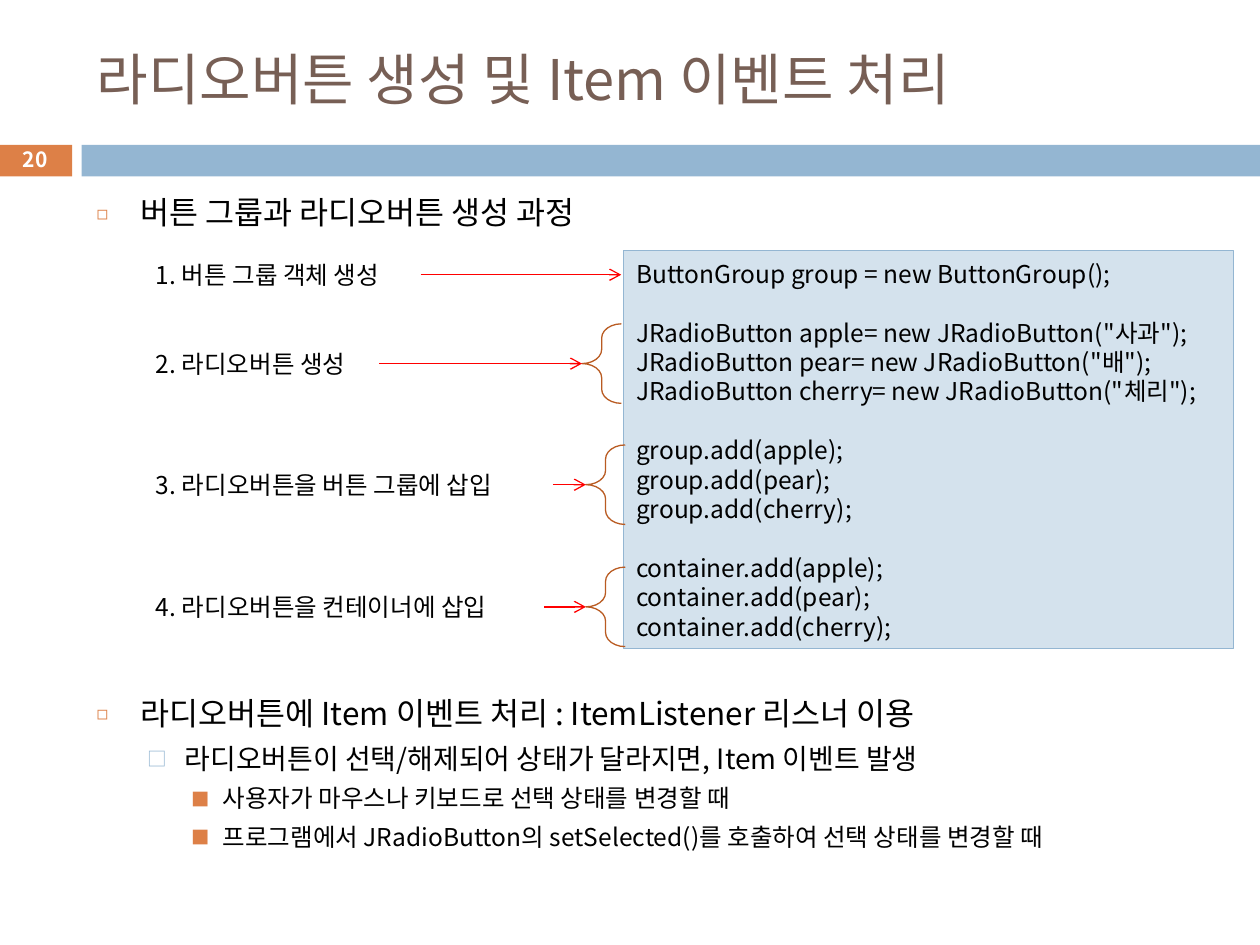
from pptx import Presentation
from pptx.dml.color import RGBColor
from pptx.enum.shapes import MSO_CONNECTOR as Conn, MSO_SHAPE as Kind
from pptx.enum.text import MSO_ANCHOR as Anchor, PP_ALIGN as Align
from pptx.oxml.ns import qn
from pptx.util import Pt
from lxml.etree import SubElement as Sub

THEME = {
    "font": "Noto Sans CJK KR",
    "title": "775F55", "text": "000000", "white": "FFFFFF",
    "orange": "DD8047", "blue": "94B6D2", "pale": "D4E2ED",
    "arrow": "FF0000", "brace": "B95B22",
    "head": 32, "code": 14, "num": 12,
    "thin": 0.75, "lead": 1.2,
}

TITLE = "라디오버튼 생성 및 Item 이벤트 처리"
PAGE = "20"

# level, space before, text
BODY = [
    (0, 0, "버튼 그룹과 라디오버튼 생성 과정"),
    (0, 264.4, "라디오버튼에 Item 이벤트 처리 : ItemListener 리스너 이용"),
    (1, 5.5, "라디오버튼이 선택/해제되어 상태가 달라지면, Item 이벤트 발생"),
    (2, 5, "사용자가 마우스나 키보드로 선택 상태를 변경할 때"),
    (2, 5, "프로그램에서 JRadioButton의 setSelected()를 호출하여 선택 상태를 변경할 때"),
]
# type size, left margin, hanging indent, bullet, bullet colour, bullet percent
LEVELS = [
    (18, 25.2, 25.2, "◻", "orange", 60),
    (16, 50.4, 21.6, "□", "blue", 70),
    (14, 72, 18, "■", "orange", 75),
]

# label, label width, middle height, arrow end, brace left (if any), code lines
STEPS = [
    ("1. 버튼 그룹 객체 생성", 158.4, 157, 355, None,
     ["ButtonGroup group = new ButtonGroup();"]),
    ("2. 라디오버튼 생성", 134.6, 207.8, 332.6, 332.6,
     ['JRadioButton apple= new JRadioButton("사과");',
      'JRadioButton pear= new JRadioButton("배");',
      'JRadioButton cherry= new JRadioButton("체리");']),
    ("3. 라디오버튼을 버튼 그룹에 삽입", 234, 277, 334.8, 334.8,
     ["group.add(apple);", "group.add(pear);", "group.add(cherry);"]),
    ("4. 라디오버튼을 컨테이너에 삽입", 229, 346.8, 334.8, 334.8,
     ["container.add(apple);", "container.add(pear);", "container.add(cherry);"]),
]
LABEL_X, LABEL_H = 82, 24.4
BRACE_W, BRACE_H = 22.5, 45.4

prs = Presentation()
prs.slide_width, prs.slide_height = Pt(720), Pt(540)
slide = prs.slides.add_slide(prs.slide_layouts[6])
shapes = slide.shapes


def tint(name):
    return RGBColor.from_string(THEME[name])


def style(par, size, color="text", bold=False):
    for run in par.runs:
        font = run.font
        font.size, font.bold, font.name = Pt(size), bold, THEME["font"]
        font.color.rgb = tint(color)
        Sub(font._element, qn("a:ea"), typeface=THEME["font"])


def add_box(x, y, w, h, kind=Kind.RECTANGLE, fill=None, line=None):
    box = shapes.add_shape(kind, Pt(x), Pt(y), Pt(w), Pt(h))
    box.shadow.inherit = False
    if fill:
        box.fill.solid()
        box.fill.fore_color.rgb = tint(fill)
    else:
        box.fill.background()
    if line:
        box.line.color.rgb = tint(line)
        box.line.width = Pt(THEME["thin"])
    else:
        box.line.fill.background()
    return box


def add_text(x, y, w, h, text, size, color="text", bold=False, align=Align.LEFT):
    """Add a one-line text box, centred vertically."""
    box = shapes.add_textbox(Pt(x), Pt(y), Pt(w), Pt(h))
    frame = box.text_frame
    frame.word_wrap, frame.vertical_anchor = True, Anchor.MIDDLE
    frame.text = text
    frame.paragraphs[0].alignment = align
    style(frame.paragraphs[0], size, color, bold)
    return box


def fill_lines(frame, rows):
    """Write (text, size, space before) rows with fixed leading; return paragraphs."""
    frame.word_wrap, frame.vertical_anchor = True, Anchor.TOP
    frame.margin_top = Pt(4.6)
    frame.text = "\n".join(text for text, _, _ in rows)
    for par, (_, size, gap) in zip(frame.paragraphs, rows):
        par.alignment = Align.LEFT
        par.line_spacing = Pt(size * THEME["lead"])
        par.space_before = Pt(gap)
        style(par, size)
    return frame.paragraphs


def add_bullet(par, level):
    _, left, hang, mark, color, pct = LEVELS[level]
    props = par._p.get_or_add_pPr()
    props.set("marL", str(Pt(left)))
    props.set("indent", str(-Pt(hang)))
    Sub(Sub(props, qn("a:buClr")), qn("a:srgbClr"), val=THEME[color])
    Sub(props, qn("a:buSzPct"), val=str(pct * 1000))
    Sub(props, qn("a:buFont"), typeface=THEME["font"])
    Sub(props, qn("a:buChar"), char=mark)


def add_arrow(label, end, y):
    line = shapes.add_connector(Conn.STRAIGHT, Pt(0), Pt(y), Pt(end), Pt(y))
    line.begin_connect(label, 3)
    line.line.color.rgb = tint("arrow")
    line.line.width = Pt(THEME["thin"])
    Sub(line.line._get_or_add_ln(), qn("a:tailEnd"), type="arrow")
    Sub(line._element.spPr, qn("a:effectLst"))


# Title band
add_box(0, 82.8, 41.2, 18, fill="orange")
add_box(46.6, 82.8, 673.4, 18, fill="blue")
add_text(48.2, 18, 642.2, 53.3, TITLE, THEME["head"], "title")
add_text(-0.7, 81.4, 41.8, 19.4, PAGE, THEME["num"], "white", True, Align.CENTER)

# Outline
body = shapes.add_textbox(Pt(48.2), Pt(105.8), Pt(642.2), Pt(396.7))
rows = [(text, LEVELS[level][0], gap) for level, gap, text in BODY]
for par, (level, _, _) in zip(fill_lines(body.text_frame, rows), BODY):
    par.level = level
    add_bullet(par, level)

# Code: one blank line's height opens between steps
size = THEME["code"]
code = add_box(356.4, 143.3, 348.5, 227.5, fill="pale", line="blue")
rows = [(text, size, size * THEME["lead"] if i and not j else 0)
        for i, step in enumerate(STEPS) for j, text in enumerate(step[-1])]
fill_lines(code.text_frame, rows)

# Steps
for name, width, mid, end, left, _ in STEPS:
    label = add_text(LABEL_X, mid - LABEL_H / 2, width, LABEL_H, name, size)
    if left:
        brace = add_box(left, mid - BRACE_H / 2, BRACE_W, BRACE_H,
                        Kind.LEFT_BRACE, line="brace")
        brace.adjustments[0] = 0.36
    add_arrow(label, end, mid)

prs.save("out.pptx")
